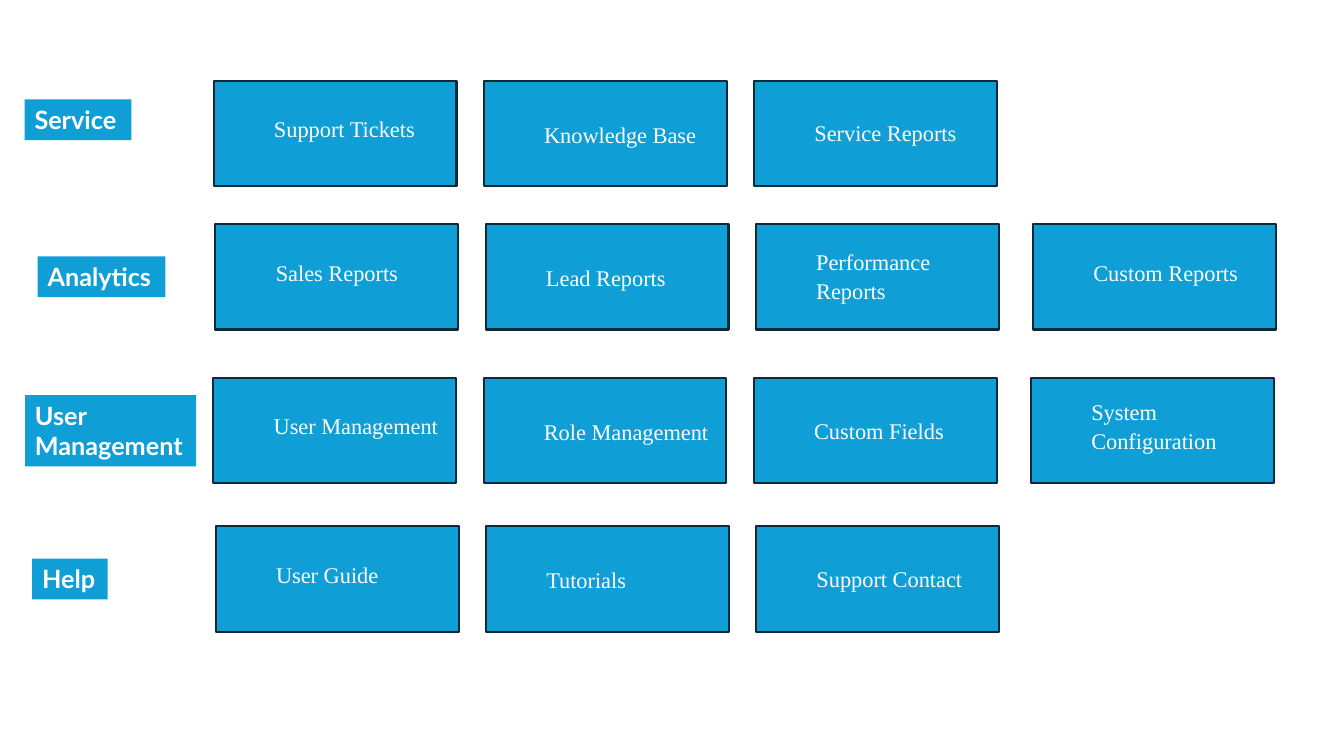
import pptx
import pptx.dml.color
import pptx.enum.shapes
import pptx.enum.text
import pptx.util

Pt = pptx.util.Pt
BLUE = pptx.dml.color.RGBColor(0x0F, 0x9E, 0xD5)
NAVY = pptx.dml.color.RGBColor(0x09, 0x2A, 0x39)
WHITE = pptx.dml.color.RGBColor(0xFF, 0xFF, 0xFF)

CARD_WIDTH, CARD_HEIGHT = 173.5, 75.2
CARD_OFFSETS = [0, 193, 386, 584]
CARD_LIFTS = [8, 0, 2, 8]
INSET = 3.6

SECTIONS = [
    (["Service"], (17.6, 71, 76.3, 29.1), (152.6, 57.6),
     ["Support Tickets", "Knowledge Base", "Service Reports"]),
    (["Analytics"], (26.9, 183.2, 91.3, 29.1), (153.9, 160.2),
     ["Sales Reports", "Lead Reports", "Performance Reports", "Custom Reports"]),
    (["User", "Management"], (17.9, 282.2, 122.3, 50.9), (152.4, 270),
     ["User Management", "Role Management", "Custom Fields", "System Configuration"]),
    (["Help"], (23, 399, 53.9, 29.1), (154.1, 376),
     ["User Guide", "Tutorials", "Support Contact"]),
]


def add_run(paragraph, text, font_name, size, bold=False):
    paragraph.alignment = pptx.enum.text.PP_ALIGN.LEFT
    run = paragraph.add_run()
    run.text = text
    run.font.name = font_name
    run.font.size = Pt(size)
    run.font.bold = bold
    run.font.color.rgb = WHITE


def add_blue_box(slide, box):
    blue_box = slide.shapes.add_shape(
        pptx.enum.shapes.MSO_SHAPE.RECTANGLE, *map(Pt, box))
    blue_box.shadow.inherit = False
    blue_box.fill.solid()
    blue_box.fill.fore_color.rgb = BLUE
    return blue_box


def add_section_label(slide, box, lines):
    label = add_blue_box(slide, box)
    label.line.fill.background()
    frame = label.text_frame
    frame.word_wrap = False
    frame.auto_size = pptx.enum.text.MSO_AUTO_SIZE.SHAPE_TO_FIT_TEXT
    frame.vertical_anchor = pptx.enum.text.MSO_ANCHOR.TOP
    for index, line in enumerate(lines):
        paragraph = frame.add_paragraph() if index else frame.paragraphs[0]
        add_run(paragraph, line, "Lato", 18, bold=True)


def add_card(slide, box, title, lift):
    card = add_blue_box(slide, box)
    card.line.color.rgb = NAVY
    card.line.width = Pt(1.5)
    frame = card.text_frame
    frame.word_wrap = True
    frame.vertical_anchor = pptx.enum.text.MSO_ANCHOR.MIDDLE
    frame.margin_bottom = Pt(INSET + lift)
    paragraph = frame.paragraphs[0]
    paragraph.level = 1
    paragraph.line_spacing = 1.07
    paragraph.space_after = Pt(8)
    properties = paragraph._p.get_or_add_pPr()
    properties.set("marL", str(Pt(36)))
    properties.set("indent", "0")
    add_run(paragraph, title, "Times New Roman", 16)


def add_section(slide, label_lines, label_box, cards_origin, card_titles):
    add_section_label(slide, label_box, label_lines)
    left, top = cards_origin
    for title, offset, lift in zip(card_titles, CARD_OFFSETS, CARD_LIFTS):
        add_card(slide, (left + offset, top, CARD_WIDTH, CARD_HEIGHT), title, lift)


def main():
    deck = pptx.Presentation()
    deck.slide_width = Pt(960)
    deck.slide_height = Pt(540)
    slide = deck.slides.add_slide(deck.slide_layouts[6])
    for section in SECTIONS:
        add_section(slide, *section)
    deck.save("out.pptx")


if __name__ == "__main__":
    main()
